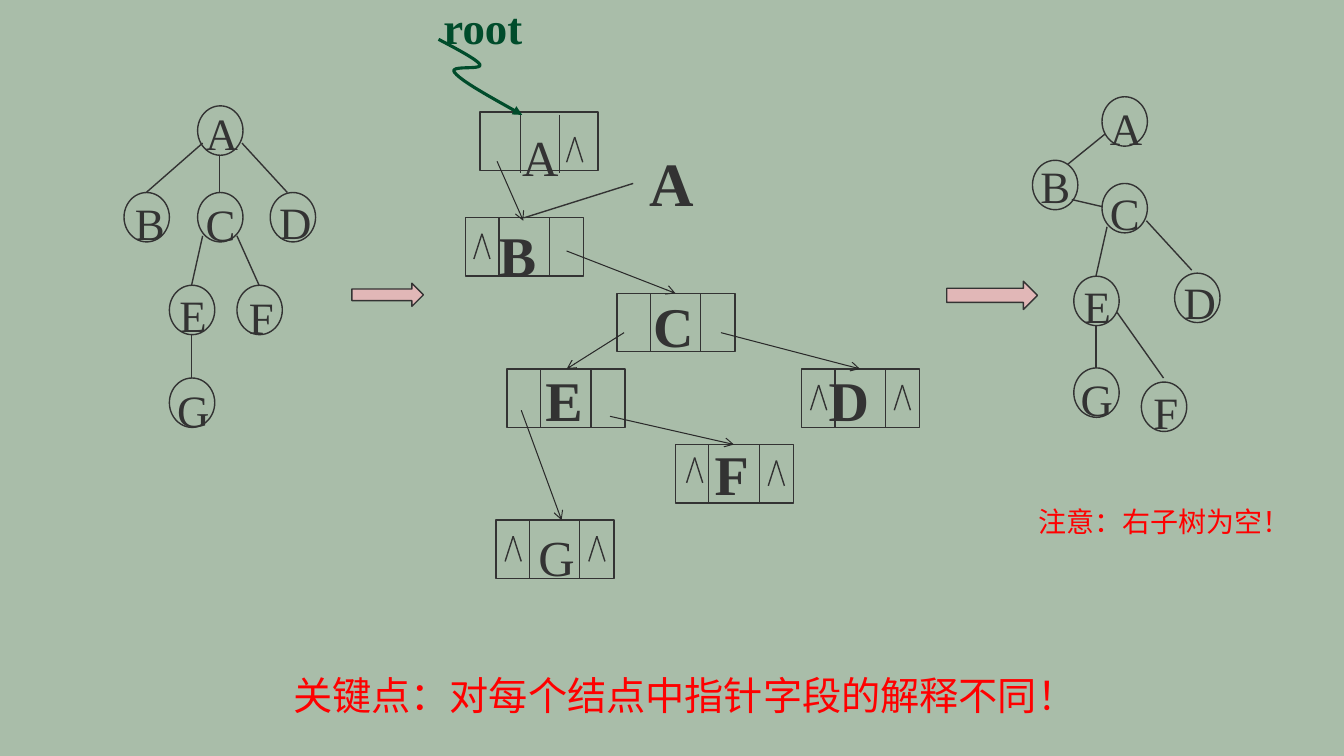
from lxml import etree
from pptx import Presentation
from pptx.dml.color import RGBColor
from pptx.enum.shapes import MSO_CONNECTOR, MSO_SHAPE
from pptx.oxml.ns import qn
from pptx.util import Inches, Pt

LINE = MSO_CONNECTOR.STRAIGHT
OVAL, RECT, ARROW = MSO_SHAPE.OVAL, MSO_SHAPE.RECTANGLE, MSO_SHAPE.RIGHT_ARROW
SAGE = RGBColor(0xA9, 0xBD, 0xA9)
INK = RGBColor(0x33, 0x33, 0x33)
DARK = RGBColor(0x2A, 0x2A, 0x2A)
GREEN = RGBColor(0x00, 0x4C, 0x2B)
RED = RGBColor(0xFF, 0x00, 0x00)
PINK = RGBColor(0xE1, 0xB7, 0xB7)
FONT = "Times New Roman"
CELL_W, CELL_H = 1.17, 0.58

LEFT_NODES = [
    ("A", 1.96, 1.05, 1.94, 0.95), ("B", 1.23, 1.91, 1.24, 1.84),
    ("C", 1.96, 1.91, 1.94, 1.85), ("D", 2.68, 1.91, 2.67, 1.83),
    ("E", 1.68, 2.83, 1.68, 2.75), ("F", 2.35, 2.83, 2.37, 2.77),
    ("G", 1.68, 3.75, 1.66, 3.69),
]
LEFT_EDGES = [
    (2.4, 1.42, 2.85, 1.91), (2.01, 1.42, 1.45, 1.91), (2.01, 2.34, 1.9, 2.83),
    (2.18, 1.54, 2.18, 1.91), (2.35, 2.34, 2.57, 2.83), (1.9, 3.32, 1.9, 3.75),
]
RIGHT_NODES = [
    ("A", 10.93, 0.96, 10.91, 0.9), ("B", 10.24, 1.59, 10.22, 1.47),
    ("C", 10.93, 1.82, 10.91, 1.74), ("D", 11.65, 2.71, 11.64, 2.62),
    ("E", 10.65, 2.74, 10.65, 2.66), ("F", 11.32, 3.79, 11.34, 3.71),
    ("G", 10.65, 3.65, 10.62, 3.59),
]
RIGHT_EDGES = [
    (11.37, 2.19, 11.82, 2.68), (10.96, 1.33, 10.59, 1.63),
    (10.98, 2.25, 10.87, 2.74), (10.63, 1.98, 10.93, 2.05),
    (11.08, 3.1, 11.54, 3.75), (10.87, 3.23, 10.87, 3.65),
]
CELLS = [(4.62, 2.16), (6.12, 2.91), (5.03, 3.66), (7.95, 3.66), (6.7, 4.41), (4.92, 5.16)]
CARETS = [
    (5.7, 1.36), (4.78, 2.32), (8.12, 3.82), (8.95, 3.82),
    (6.89, 4.54), (7.7, 4.57), (5.09, 5.32), (5.92, 5.32),
]
LINKS = [
    (4.93, 1.6, 5.19, 2.19), (5.62, 2.49, 6.7, 2.91), (6.19, 3.3, 5.62, 3.66),
    (7.15, 3.3, 8.53, 3.66), (6.05, 4.13, 7.28, 4.41), (5.17, 4.07, 5.57, 5.16),
]
LABELS = [
    ("A", 6.34, 1.32, 44), ("B", 4.85, 2.07, 40), ("C", 6.38, 2.78, 40),
    ("E", 5.31, 3.51, 40), ("D", 8.12, 3.51, 40), ("F", 6.99, 4.24, 40),
]
CURVES = [
    ((4.35, 0.39), (4.54, 0.49), (4.73, 0.59), (4.76, 0.64)),
    ((4.76, 0.64), (4.79, 0.7), (4.44, 0.64), (4.51, 0.72)),
    ((4.51, 0.72), (4.58, 0.81), (4.88, 0.97), (5.18, 1.14)),
]


class Board:
    """Draws the parts of a tree diagram on one slide."""

    def __init__(self, slide):
        self.slide = slide
        self.shapes = slide.shapes
        slide.background.fill.solid()
        slide.background.fill.fore_color.rgb = SAGE

    def stroke(self, item, color, width, head=None):
        item.line.color.rgb = color
        item.line.width = Pt(width)
        if head:
            ln = item.line._get_or_add_ln()
            etree.SubElement(ln, qn("a:tailEnd"), type=head)

    def text(self, words, x, y, w, h, size, color=INK, bold=False):
        box = self.shapes.add_textbox(Inches(x), Inches(y), Inches(w), Inches(h))
        frame = box.text_frame
        frame.word_wrap = True
        frame.text = words
        para = frame.paragraphs[0]
        para.line_spacing = 1.1
        font = para.runs[0].font
        font.name, font.size, font.bold = FONT, Pt(size), bold
        font.color.rgb = color

    def shape(self, kind, x, y, w, h, fill=None):
        item = self.shapes.add_shape(kind, Inches(x), Inches(y), Inches(w), Inches(h))
        item.shadow.inherit = False
        if fill is None:
            item.fill.background()
        else:
            item.fill.solid()
            item.fill.fore_color.rgb = fill
        self.stroke(item, INK, 1)

    def line(self, x1, y1, x2, y2, color=INK, width=1, head=None):
        item = self.shapes.add_connector(LINE, Inches(x1), Inches(y1), Inches(x2), Inches(y2))
        self.stroke(item, color, width, head)
        etree.SubElement(item._element.spPr, qn("a:effectLst"))

    def curve(self, parts, color, width, steps=12):
        points = []
        for a, b, c, d in parts:
            for step in range(1, steps + 1):
                t = step / steps
                u = 1 - t
                points.append(tuple(
                    Inches(u**3 * p + 3 * u * u * t * q + 3 * u * t * t * r + t**3 * s)
                    for p, q, r, s in zip(a, b, c, d)))
        x, y = parts[0][0]
        pen = self.shapes.build_freeform(Inches(x), Inches(y))
        pen.add_line_segments(points, close=False)
        item = pen.convert_to_shape()
        item.shadow.inherit = False
        item.fill.background()
        self.stroke(item, color, width, "triangle")

    def cell(self, x, y, splits=(0.33, 0.83), drop=0):
        self.shape(RECT, x, y, CELL_W, CELL_H)
        for split in splits:
            self.line(x + split, y + drop, x + split, y + drop + CELL_H)

    def caret(self, x, y):
        for side in (-0.08, 0.08):
            self.line(x, y, x + side, y + 0.25)

    def tree(self, nodes, edges):
        for name, x, y, left, top in nodes:
            self.shape(OVAL, x, y, 0.45, 0.49)
            self.text(name, left, top, 0.53, 0.64, 32)
        for edge in edges:
            self.line(*edge)


def main():
    deck = Presentation()
    deck.slide_width, deck.slide_height = Inches(13.33), Inches(7.5)
    board = Board(deck.slides.add_slide(deck.slide_layouts[6]))

    for name, x, y, size in LABELS:
        board.text(name, x, y, 0.7, 0.8, size, bold=True)
    for spot in CELLS:
        board.cell(*spot)
    board.cell(4.76, 1.11, (0.4, 0.79), 0.03)
    for spot in CARETS:
        board.caret(*spot)
    board.line(6.28, 1.82, 5.2, 2.16)
    for link in LINKS:
        board.line(*link, DARK, 0.75, "arrow")
    board.text("A", 5.08, 1.14, 0.55, 0.71, 36)
    board.text("G", 5.24, 5.11, 0.55, 0.71, 36)
    board.text("root", 4.3, -0.11, 1.25, 0.63, 32, GREEN, True)
    board.curve(CURVES, GREEN, 2.25)

    board.tree(LEFT_NODES, LEFT_EDGES)
    board.tree(RIGHT_NODES, RIGHT_EDGES)
    board.shape(ARROW, 3.49, 2.81, 0.71, 0.23, PINK)
    board.shape(ARROW, 9.39, 2.79, 0.9, 0.28, PINK)
    board.text("关键点：对每个结点中指针字段的解释不同！", 2.81, 6.56, 8.35, 0.57, 28, RED)
    board.text("注意：右子树为空！", 10.2, 4.92, 2.93, 0.44, 20, RED)
    deck.save("out.pptx")


if __name__ == "__main__":
    main()
